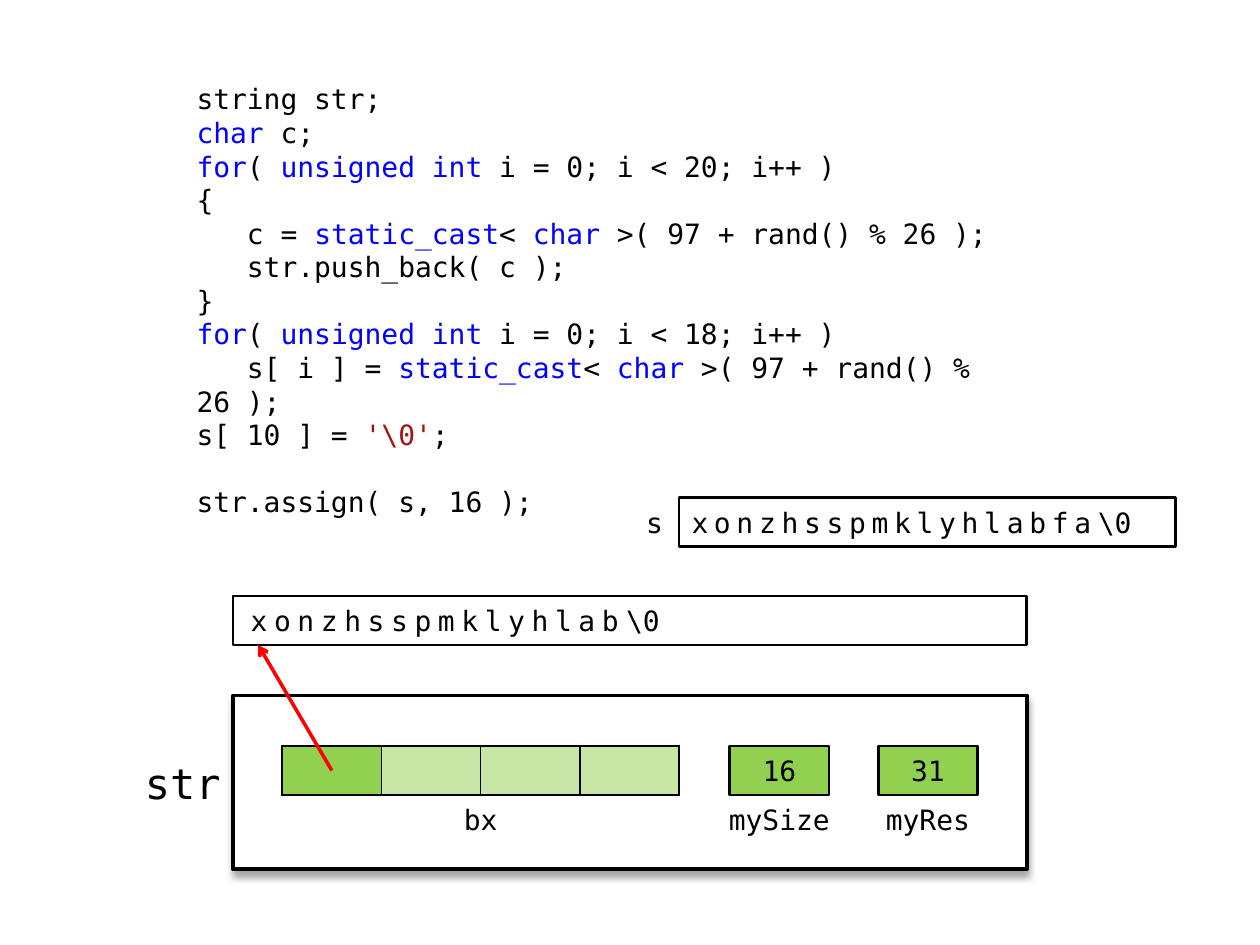
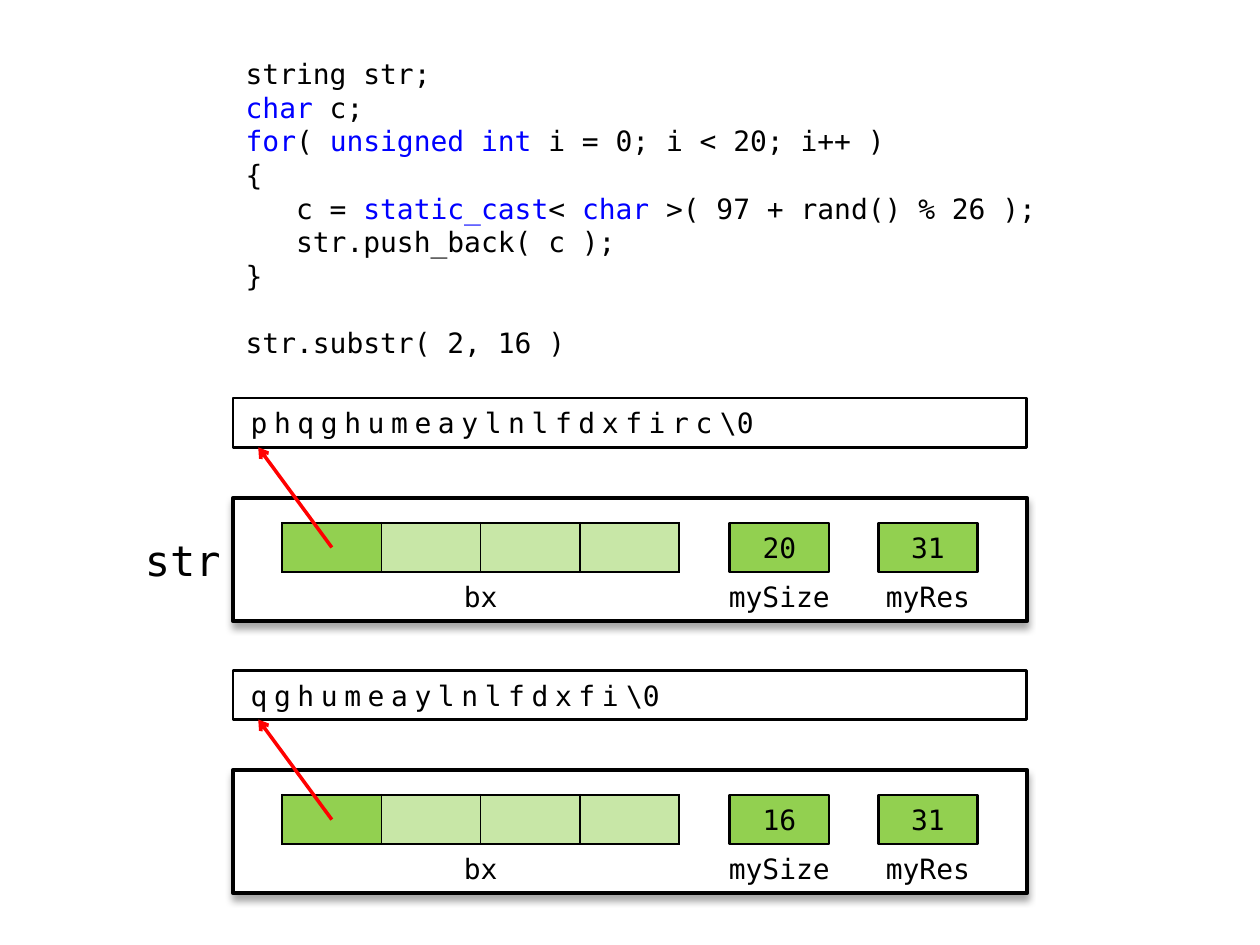
from lxml import etree
from pptx import Presentation
from pptx.dml.color import RGBColor
from pptx.enum.shapes import MSO_CONNECTOR, MSO_SHAPE
from pptx.enum.text import MSO_ANCHOR, MSO_AUTO_SIZE, PP_ALIGN
from pptx.oxml.ns import qn
from pptx.util import Inches, Pt

BLACK = RGBColor(0x00, 0x00, 0x00)
WHITE = RGBColor(0xFF, 0xFF, 0xFF)
GREEN = RGBColor(0x92, 0xD0, 0x50)
RED = RGBColor(0xFF, 0x00, 0x00)
KEYWORD = RGBColor(0x00, 0x00, 0xFF)
LITERAL = RGBColor(0xA3, 0x15, 0x15)
FONT = "DejaVu Sans Mono"
CODE_LINE = 19.2  # points taken by one blank line of code

RECTANGLE, PROCESS = MSO_SHAPE.RECTANGLE, MSO_SHAPE.FLOWCHART_PROCESS
LEFT, CENTER, RIGHT = PP_ALIGN.LEFT, PP_ALIGN.CENTER, PP_ALIGN.RIGHT
TOP, MIDDLE = MSO_ANCHOR.TOP, MSO_ANCHOR.MIDDLE

# Backticks enclose the coloured words of the code.
FILL_STRING = [
    "string str;",
    "`char` c;",
    "`for`( `unsigned int `i = 0; i < 20; i++ )",
    "{",
    "   c = `static_cast`< `char` >( 97 + rand() % 26 );",
    "   str.push_back( c );",
    "}",
]
ASSIGN = [
    "`for`( `unsigned int `i = 0; i < 18; i++ )",
    "   s[ i ] = `static_cast`< `char` >( 97 + rand() % 26 );",
    r"s[ 10 ] = `'\0'`;",
    "",
    "str.assign( s, 16 );",
]
SLIDES = [
    {
        "code": FILL_STRING + ASSIGN,
        "code_at": (1.46, 0.6, 7.09, 3.35),
        "source": "xonzhsspmklyhlabfa",
        "strings": [
            {"name": "str", "characters": "xonzhsspmklyhlab", "size": 16,
             "top": 5.52, "height": 1.38, "margin": 0.4},
        ],
    },
    {
        "code": FILL_STRING + ["", "str.substr( 2, 16 )"],
        "code_at": (1.85, 0.4, 6.5, 2.56),
        "strings": [
            {"name": "str", "characters": "phqghumeaylnlfdxfirc", "size": 20,
             "top": 3.95, "height": 0.98, "margin": 0.2},
            {"characters": "qghumeaylnlfdxfi", "size": 16,
             "top": 6.11, "height": 0.98, "margin": 0.2},
        ],
    },
]
RESERVED = 31

OBJECT_LEFT, OBJECT_WIDTH = 1.85, 6.3
ROW_HEIGHT = 0.39
BUFFER_RISE = 0.79
BX_LEFT, BX_WIDTH, BX_CELLS = 2.24, 3.15, 4
FIELD_WIDTH, LABEL_WIDTH = 0.79, 1.18
SIZE_LEFT, RESERVED_LEFT = 5.79, 6.97
ARROW_END = 2.05
SOURCE_LEFT, SOURCE_TOP, SOURCE_WIDTH = 5.39, 3.95, 3.94


def inches(values):
    return [Inches(value) for value in values]


def add_run(paragraph, text, size=16, color=BLACK, spacing=None):
    run = paragraph.add_run()
    run.text = text
    run.font.name = FONT
    run.font.size = Pt(size)
    run.font.color.rgb = color
    if spacing is not None:
        run.font._element.set("spc", str(round(spacing * 100)))


def add_box(slide, place, text="", geometry=PROCESS, fill=None, line=None,
            size=16, align=CENTER, inset=0.1):
    """Add a preset shape, or a text box when geometry is None."""
    if geometry is None:
        shape = slide.shapes.add_textbox(*inches(place))
    else:
        shape = slide.shapes.add_shape(geometry, *inches(place))
        shape.shadow.inherit = False
    if fill is None:
        shape.fill.background()
    else:
        shape.fill.solid()
        shape.fill.fore_color.rgb = fill
    if line is None:
        shape.line.fill.background()
    else:
        shape.line.color.rgb = BLACK
        shape.line.width = Pt(line)
    frame = shape.text_frame
    frame.word_wrap = True
    frame.vertical_anchor = MIDDLE
    frame.margin_left = Inches(inset)
    frame.paragraphs[0].alignment = align
    if text:
        add_run(frame.paragraphs[0], text, size=size)
    return shape


def add_buffer(slide, place, characters, spacing, inset=0.1):
    """Add a row of spaced characters closed by a null character."""
    shape = add_box(slide, place, geometry=RECTANGLE, fill=WHITE, line=1.5,
                    align=LEFT, inset=inset)
    paragraph = shape.text_frame.paragraphs[0]
    for text, gap in ((characters, spacing), ("\\", -1.5), ("0", 0)):
        add_run(paragraph, text, spacing=gap)


def add_code(slide, lines, place):
    body = slide.placeholders[1]
    body.left, body.top, body.width, body.height = inches(place)
    frame = body.text_frame
    frame.auto_size = MSO_AUTO_SIZE.NONE
    frame.word_wrap = True
    frame.vertical_anchor = TOP
    paragraph, gap = frame.paragraphs[0], 0
    for index, line in enumerate(lines):
        if not line:
            gap = CODE_LINE
            continue
        if index:
            paragraph = frame.add_paragraph()
        properties = paragraph._p.get_or_add_pPr()
        properties.set("marL", "0")
        properties.set("indent", "0")
        etree.SubElement(properties, qn("a:buNone"))
        paragraph.alignment = LEFT
        paragraph.space_before, paragraph.space_after = Pt(gap), Pt(0)
        gap = 0
        for part, text in enumerate(line.split("`")):
            marked = LITERAL if text.startswith("'") else KEYWORD
            if text:
                add_run(paragraph, text, color=marked if part % 2 else BLACK)


def add_shadow(shape):
    effects = shape._element.spPr.find(qn("a:effectLst"))
    shadow = etree.SubElement(effects, qn("a:outerShdw"), blurRad="50800",
                              dist="38100", dir="5400000", rotWithShape="0")
    color = etree.SubElement(shadow, qn("a:srgbClr"), val=str(BLACK))
    etree.SubElement(color, qn("a:alpha"), val="35000")


def set_borders(cell, widths):
    properties = cell._tc.get_or_add_tcPr()
    for side, width in zip("LRTB", widths):
        border = etree.SubElement(properties, qn(f"a:ln{side}"), w=str(Pt(width)))
        fill = etree.SubElement(border, qn("a:solidFill"))
        etree.SubElement(fill, qn("a:srgbClr"), val=str(BLACK))


def add_bx_table(slide, top):
    place = inches((BX_LEFT, top, BX_WIDTH, ROW_HEIGHT))
    table = slide.shapes.add_table(1, BX_CELLS, *place).table
    table.first_row = table.horz_banding = False
    for index, cell in enumerate(table.iter_cells()):
        left = 1.5 if index == 0 else 1
        right = 1.5 if index == BX_CELLS - 1 else 1
        set_borders(cell, (left, right, 1.5, 1.5))
        cell.margin_top = cell.margin_bottom = 0
        cell.fill.solid()
        cell.fill.fore_color.rgb = GREEN
        if index:
            color = cell._tc.tcPr.find(qn("a:solidFill")).find(qn("a:srgbClr"))
            etree.SubElement(color, qn("a:alpha"), val="50000")


def add_pointer(slide, start, end):
    connector = slide.shapes.add_connector(
        MSO_CONNECTOR.STRAIGHT, *inches(start + end))
    connector.line.color.rgb = RED
    connector.line.width = Pt(2)
    etree.SubElement(connector.line._get_or_add_ln(), qn("a:tailEnd"), type="arrow")
    etree.SubElement(connector._element.spPr, qn("a:effectLst"))


def add_string(slide, characters, size, top, height, margin, name=None):
    """Draw a string object, its fields and the buffer it points to."""
    row = top + margin
    label_top = row + ROW_HEIGHT
    add_shadow(add_box(slide, (OBJECT_LEFT, top, OBJECT_WIDTH, height),
                       fill=WHITE, line=2.25))
    if name:
        add_box(slide, (0.87, row, 0.98, 0.59), name, geometry=None,
                size=24, align=RIGHT)

    bx_center = BX_LEFT + BX_WIDTH / 2
    add_box(slide, (bx_center - FIELD_WIDTH / 2, label_top, FIELD_WIDTH, ROW_HEIGHT), "bx")
    fields = (("mySize", size, SIZE_LEFT), ("myRes", RESERVED, RESERVED_LEFT))
    for label, value, left in fields:
        label_left = left - (LABEL_WIDTH - FIELD_WIDTH) / 2
        add_box(slide, (left, row, FIELD_WIDTH, ROW_HEIGHT), str(value),
                geometry=RECTANGLE, fill=GREEN, line=1.5)
        add_box(slide, (label_left, label_top, LABEL_WIDTH, ROW_HEIGHT), label)
    add_bx_table(slide, row)

    buffer_top = top - BUFFER_RISE
    add_buffer(slide, (OBJECT_LEFT, buffer_top, OBJECT_WIDTH, ROW_HEIGHT),
               characters, spacing=3.8, inset=0.14)
    add_pointer(slide, (BX_LEFT + BX_WIDTH / BX_CELLS / 2, row + ROW_HEIGHT / 2),
                (ARROW_END, buffer_top + ROW_HEIGHT))


def main():
    presentation = Presentation()
    presentation.slide_width, presentation.slide_height = Inches(10), Inches(7.5)
    for content in SLIDES:
        slide = presentation.slides.add_slide(presentation.slide_layouts[1])
        title = slide.shapes.title._element
        title.getparent().remove(title)
        add_code(slide, content["code"], content["code_at"])
        if "source" in content:
            add_buffer(slide, (SOURCE_LEFT, SOURCE_TOP, SOURCE_WIDTH, ROW_HEIGHT),
                       content["source"], spacing=3.3)
            add_box(slide, (SOURCE_LEFT - ROW_HEIGHT, SOURCE_TOP, ROW_HEIGHT, ROW_HEIGHT), "s")
        for string in content["strings"]:
            add_string(slide, **string)
    presentation.save("out.pptx")


if __name__ == "__main__":
    main()
